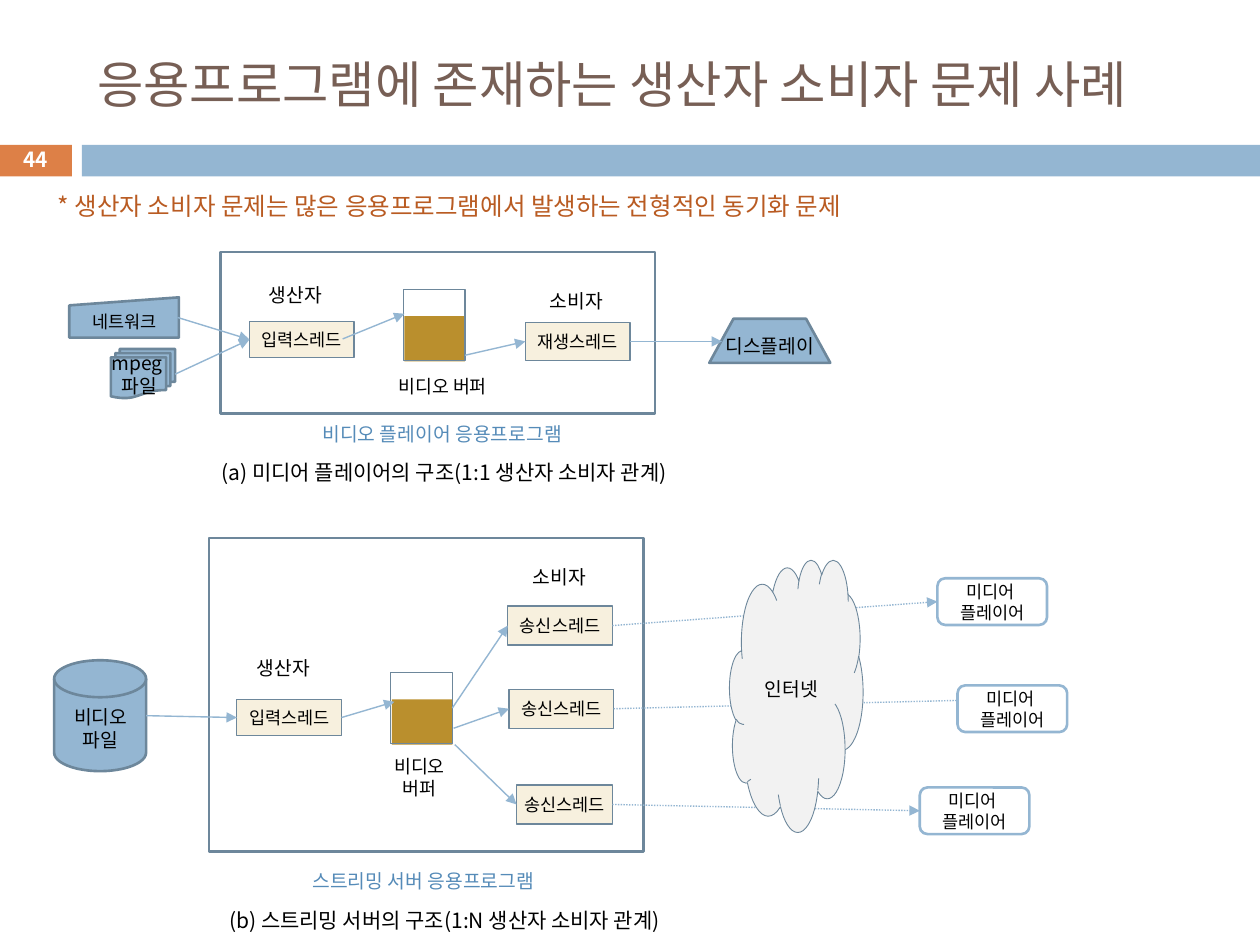
from typing import NamedTuple, Optional

from lxml.etree import SubElement
from pptx import Presentation
from pptx.dml.color import RGBColor
from pptx.enum.dml import MSO_LINE
from pptx.enum.shapes import MSO_CONNECTOR, MSO_SHAPE
from pptx.enum.text import MSO_ANCHOR, MSO_AUTO_SIZE, PP_ALIGN
from pptx.oxml.ns import qn
from pptx.util import Inches, Pt

FONT = "Noto Sans CJK KR"
BLUE, EDGE, CREAM, GOLD = "94B6D2", "6D879B", "F7F0DE", "BA8F2D"
RIGHT, LEFT = 3, 1


class Box(NamedTuple):
    x: float
    y: float
    w: float
    h: float


class Link(NamedTuple):
    """A thread, the player it feeds, and the dotted line's end."""
    thread: Box
    player: Box
    end: tuple
    joined: bool


def color(code: str) -> RGBColor:
    return RGBColor.from_string(code)


def write(shape, text: str, size: float = 11, ink: str = "000000", bold: bool = False,
          align=PP_ALIGN.CENTER, anchor=MSO_ANCHOR.TOP, wrap: bool = True,
          inset: Optional[float] = None) -> None:
    frame = shape.text_frame
    frame.text = text
    frame.word_wrap = wrap
    frame.vertical_anchor = anchor
    if inset is not None:
        frame.margin_left = frame.margin_right = Inches(inset)
        frame.margin_top = frame.margin_bottom = Inches(inset)
    for para in frame.paragraphs:
        para.alignment = align
        for run in para.runs:
            font = run.font
            font.name, font.size, font.bold = FONT, Pt(size), bold
            font.color.rgb = color(ink)
            SubElement(run._r.get_or_add_rPr(), qn("a:ea"), typeface=FONT)


def label(text: str, box: Box, grow: bool = True, **style):
    shape = slide.shapes.add_textbox(*map(Inches, box))
    write(shape, text, **style)
    if grow:
        shape.text_frame.auto_size = MSO_AUTO_SIZE.SHAPE_TO_FIT_TEXT
    return shape


def draw(kind, box: Box, fill: Optional[str] = None, line: Optional[str] = None,
         width: float = 0.75):
    shape = slide.shapes.add_shape(kind, *map(Inches, box))
    shape.shadow.inherit = False
    if fill:
        shape.fill.solid()
        shape.fill.fore_color.rgb = color(fill)
    else:
        shape.fill.background()
    if line:
        shape.line.color.rgb = color(line)
        shape.line.width = Pt(width)
    else:
        shape.line.fill.background()
    return shape


def thread(text: str, box: Box):
    shape = draw(MSO_SHAPE.RECTANGLE, box, CREAM, EDGE)
    write(shape, text, size=10, anchor=MSO_ANCHOR.MIDDLE, inset=0)
    return shape


def buffer(x: float, y: float):
    """A buffer whose lower part is filled."""
    draw(MSO_SHAPE.RECTANGLE, Box(x + 0.01, y + 0.21, 0.48, 0.36), GOLD)
    return draw(MSO_SHAPE.RECTANGLE, Box(x, y, 0.49, 0.56), line=EDGE)


def arrow(start: tuple, end: tuple, source=None, target=None, dotted: bool = False):
    """Joins the right side of source to the left side of target, if given."""
    line = slide.shapes.add_connector(MSO_CONNECTOR.STRAIGHT, *map(Inches, start + end))
    line.line.color.rgb = color(BLUE)
    line.line.width = Pt(0.79)
    if dotted:
        line.line.dash_style = MSO_LINE.ROUND_DOT
    SubElement(line.line._get_or_add_ln(), qn("a:tailEnd"), type="triangle")
    SubElement(line._element.spPr, qn("a:effectLst"))
    if source is not None:
        line.begin_connect(source, RIGHT)
    if target is not None:
        line.end_connect(target, LEFT)
    return line


deck = Presentation()
deck.slide_width, deck.slide_height = Inches(10), Inches(7.5)
slide = deck.slides.add_slide(deck.slide_layouts[5])

# Title, band and page number
title = slide.shapes.title
title.left, title.top, title.width, title.height = map(Inches, (0.67, 0.25, 8.92, 0.82))
write(title, "응용프로그램에 존재하는 생산자 소비자 문제 사례", size=28.8, ink="775F55",
      align=PP_ALIGN.LEFT, anchor=MSO_ANCHOR.MIDDLE)
draw(MSO_SHAPE.RECTANGLE, Box(-0.01, 1.15, 0.58, 0.25), "DD8047")
draw(MSO_SHAPE.RECTANGLE, Box(0.65, 1.15, 9.35, 0.25), BLUE)
label("44", Box(-0.01, 1.13, 0.58, 0.27), grow=False, size=11.9, ink="FFFFFF",
      bold=True, anchor=MSO_ANCHOR.MIDDLE)
label("* 생산자 소비자 문제는 많은 응용프로그램에서 발생하는 전형적인 동기화 문제",
      Box(0.36, 1.47, 7.18, 0.34), size=14, ink="B95B22", align=PP_ALIGN.LEFT, wrap=False)

# (a) Media player: sources and display
net = draw(MSO_SHAPE.FLOWCHART_MANUAL_INPUT, Box(0.55, 2.36, 0.87, 0.32), BLUE, EDGE, 1.5)
write(net, "네트워크", size=10, anchor=MSO_ANCHOR.MIDDLE)
draw(MSO_SHAPE.FLOWCHART_MULTIDOCUMENT, Box(0.88, 2.77, 0.51, 0.39), BLUE, EDGE, 1.5)
label("mpeg \n파일", Box(0.71, 2.74, 0.79, 0.47))
screen = draw(MSO_SHAPE.FLOWCHART_MANUAL_OPERATION, Box(5.63, 2.53, 0.96, 0.35),
              BLUE, EDGE, 1.5)
screen._element.spPr.xfrm.set("flipV", "1")
label("디스플레이", Box(5.6, 2.6, 1.02, 0.29))

# (a) Media player: threads, buffer and arrows
draw(MSO_SHAPE.RECTANGLE, Box(1.75, 2, 3.45, 1.28), line=EDGE, width=1.5)
label("생산자", Box(1.9, 2.2, 0.89, 0.29))
label("소비자", Box(4.17, 2.25, 0.81, 0.29))
reader = thread("입력스레드", Box(1.98, 2.55, 0.83, 0.29))
viewer = thread("재생스레드", Box(4.17, 2.56, 0.83, 0.3))
buffer(3.2, 2.3)
label("비디오 버퍼", Box(3, 2.93, 1.03, 0.29), size=10.5, wrap=False)
for start in ((1.39, 2.97), (1.41, 2.52)):
    arrow(start, (1.98, 2.69), target=reader)
arrow((2.72, 2.69), (3.21, 2.49))
arrow((3.69, 2.82), (4.17, 2.71), target=viewer)
arrow((5, 2.71), (5.73, 2.71), source=viewer)
label("비디오 플레이어 응용프로그램", Box(2.12, 3.3, 2.78, 0.29), ink="558BB8")
label("(a) 미디어 플레이어의 구조(1:1 생산자 소비자 관계)", Box(1.66, 3.6, 4.1, 0.3),
      size=12, align=PP_ALIGN.LEFT, wrap=False)

# (b) Streaming server: file, input thread and buffer
draw(MSO_SHAPE.RECTANGLE, Box(1.66, 4.27, 3.45, 2.49), line=EDGE, width=1.5)
draw(MSO_SHAPE.FLOWCHART_MAGNETIC_DISK, Box(0.43, 5.24, 0.73, 0.88), BLUE, EDGE, 1.5)
label("비디오\n파일", Box(0.46, 5.55, 0.68, 0.47))
label("생산자", Box(1.74, 5.16, 1.02, 0.29))
label("소비자", Box(3.93, 4.44, 1.02, 0.29))
loader = thread("입력스레드", Box(1.88, 5.55, 0.83, 0.29))
store = buffer(3.1, 5.34)
label("비디오\n버퍼", Box(3.01, 5.94, 0.64, 0.45), size=10.5, wrap=False)
arrow((1.16, 5.68), (1.88, 5.69), target=loader)
arrow((2.73, 5.69), (3.13, 5.57), source=loader)

# (b) Sending threads, each with its player
links = [
    Link(Box(4.03, 4.81, 0.83, 0.31), Box(7.44, 4.59, 0.87, 0.37), (7.44, 4.78), True),
    Link(Box(4.04, 5.47, 0.83, 0.31), Box(7.6, 5.44, 0.87, 0.37), (7.97, 5.55), False),
    Link(Box(4.1, 6.23, 0.76, 0.31), Box(7.3, 6.25, 0.87, 0.37), (7.3, 6.43), True),
]
starts = ((3.59, 5.62), (3.6, 5.78), (3.61, 5.91))
for row, (link, start) in enumerate(zip(links, starts)):
    sender = thread("송신스레드", link.thread)
    box = link.thread
    arrow(start, (box.x, box.y + box.h / 2), store if row == 0 else None, sender)
    wire = arrow((box.x + box.w, box.y + box.h / 2), link.end, sender, dotted=True)
    player = draw(MSO_SHAPE.ROUNDED_RECTANGLE, link.player, "FFFFFF", BLUE, 1.5)
    write(player, "미디어 \n플레이어", size=10, inset=0)
    if link.joined:
        wire.end_connect(player, LEFT)

# (b) Internet over the dotted lines, then captions
cloud = draw(MSO_SHAPE.CLOUD, Box(5.79, 4.44, 1.06, 2.16), "F2F2F2", EDGE, 0.5)
write(cloud, "인터넷", anchor=MSO_ANCHOR.MIDDLE)
label("스트리밍 서버 응용프로그램", Box(1.97, 6.85, 2.78, 0.29), ink="558BB8")
label("(b) 스트리밍 서버의 구조(1:N 생산자 소비자 관계)", Box(1.72, 7.15, 3.98, 0.3),
      size=12, align=PP_ALIGN.LEFT, wrap=False)

deck.save("out.pptx")
